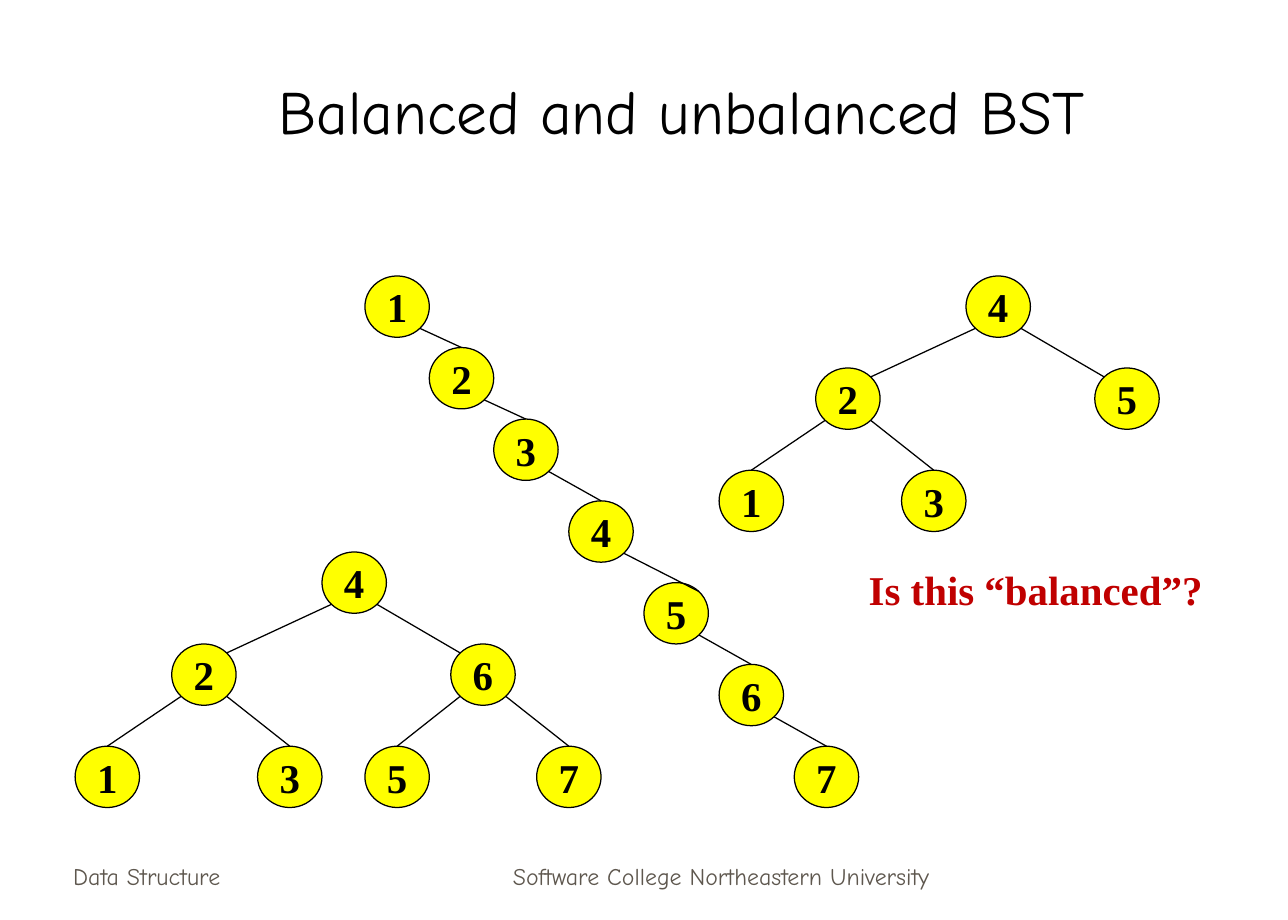
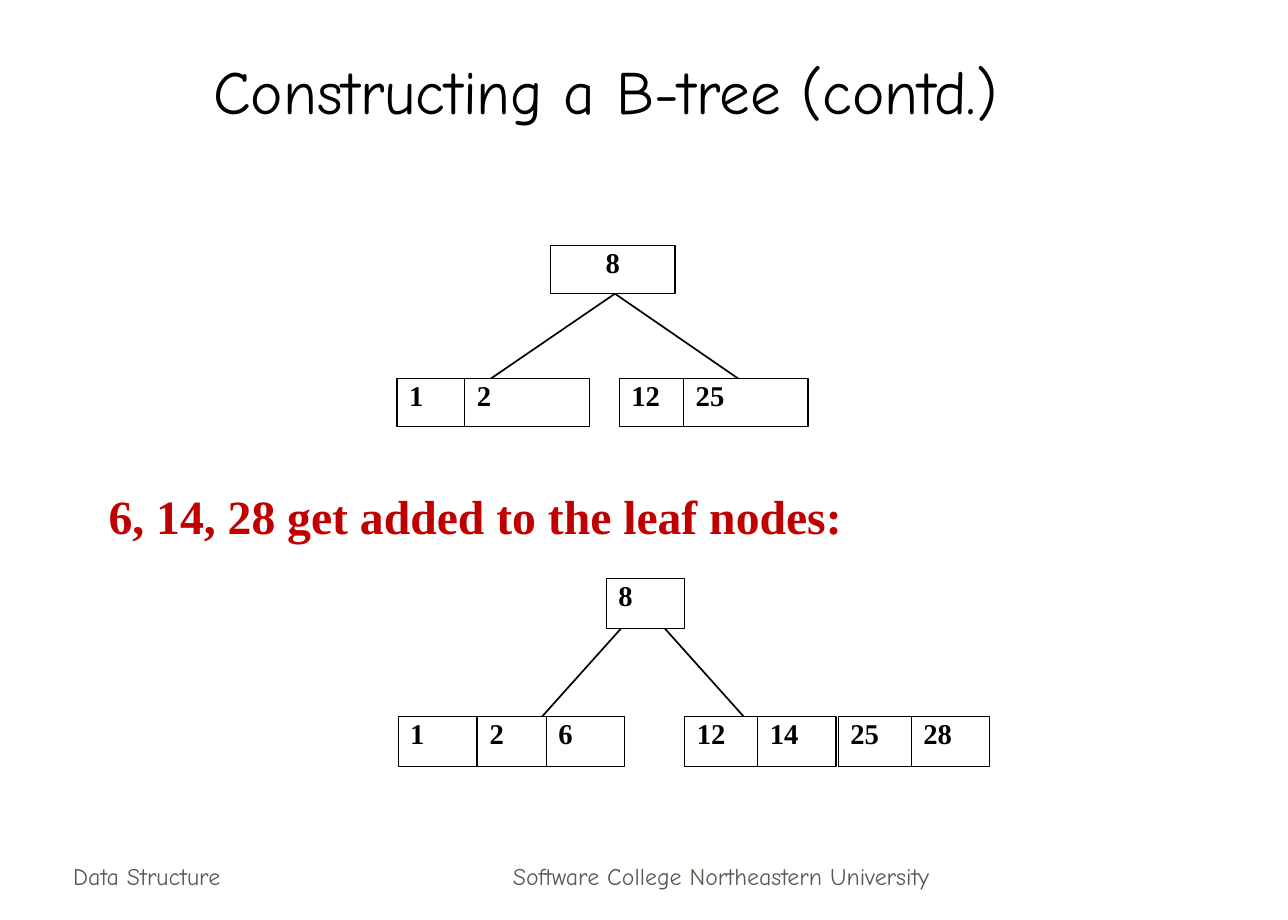
from lxml import etree
from pptx import Presentation
from pptx import util as u
from pptx.dml.color import RGBColor
from pptx.enum import shapes, text
from pptx.oxml.ns import qn

prs = Presentation()
prs.slide_width, prs.slide_height = u.Inches(10.5), u.Inches(7.5)

# Grid: every place is given in columns and rows
COL, ROW = prs.slide_width / 120, prs.slide_height / 90
BLACK, WHITE, YELLOW, RED, GREY = "000000", "FFFFFF", "FFFF00", "C00000", "5E574E"
TOP, MIDDLE, BOTTOM = (text.MSO_ANCHOR.TOP, text.MSO_ANCHOR.MIDDLE,
                       text.MSO_ANCHOR.BOTTOM)
LEFT, CENTER = text.PP_ALIGN.LEFT, text.PP_ALIGN.CENTER
OVAL, RECT = shapes.MSO_SHAPE.OVAL, shapes.MSO_SHAPE.RECTANGLE

# Text styles: font, frame and paragraph values
SERIF, HAND = "Times New Roman", "Comic Neue"
STYLES = {
    "title": (dict(name=HAND, size=u.Pt(36), bold=False), BLACK,
              dict(vertical_anchor=BOTTOM, word_wrap=True), dict(alignment=CENTER)),
    "footer": (dict(name=HAND, size=u.Pt(14)), GREY,
               dict(vertical_anchor=BOTTOM, word_wrap=True), {}),
    "node": (dict(name=SERIF, size=u.Pt(24), bold=True), BLACK,
             dict(vertical_anchor=MIDDLE, word_wrap=False), dict(alignment=CENTER)),
    "key": (dict(name=SERIF, size=u.Pt(16.8), bold=True), BLACK,
            dict(vertical_anchor=TOP, word_wrap=True),
            dict(alignment=LEFT, line_spacing=0.8)),
    "question": (dict(name=SERIF, size=u.Pt(24), bold=True), RED,
                 dict(vertical_anchor=TOP, word_wrap=False), {}),
    "step": (dict(name=SERIF, size=u.Pt(28), bold=True), RED,
             dict(vertical_anchor=TOP, word_wrap=True), {}),
}


def box(s, kind, at, txt, style, fill=None, align=None):
    """Place the title, a text box or a filled shape, and write its text."""
    if kind == "title":
        sp = s.shapes.title
    elif kind == "text":
        sp = s.shapes.add_textbox(0, 0, 0, 0)
    else:
        sp = s.shapes.add_shape(kind, 0, 0, 0, 0)
        sp.shadow.inherit = False
        sp.fill.solid()
        sp.fill.fore_color.rgb = RGBColor.from_string(fill)
        sp.line.color.rgb = RGBColor.from_string(BLACK)
        sp.line.width = u.Pt(0.75)
    for name, value, unit in zip(("left", "top", "width", "height"), at,
                                 (COL, ROW, COL, ROW)):
        setattr(sp, name, round(value * unit))
    font, color, frame, para = STYLES[style]
    tf = sp.text_frame
    tf.auto_size = text.MSO_AUTO_SIZE.NONE
    p = tf.paragraphs[0]
    r = p.add_run()
    r.text = txt
    r.font.color.rgb = RGBColor.from_string(color)
    for target, values in ((tf, frame), (p, para), (r.font, font)):
        for name, value in values.items():
            setattr(target, name, value)
    if align is not None:
        p.alignment = align


def line(s, x1, y1, x2, y2, width):
    cx = s.shapes.add_connector(
        shapes.MSO_CONNECTOR.STRAIGHT, round(x1 * COL), round(y1 * ROW),
        round(x2 * COL), round(y2 * ROW))
    cx.line.color.rgb = RGBColor.from_string(BLACK)
    cx.line.width = u.Pt(width)
    etree.SubElement(cx._element.spPr, qn("a:effectLst"))


# Titles and footers
slides = []
for title, at in (("Balanced and unbalanced BST", (10.5, 0, 106, 15)),
                  ("Constructing a B-tree (contd.)", (5.4, 3, 102, 10))):
    s = prs.slides.add_slide(prs.slide_layouts.get_by_name("Title Only"))
    box(s, "title", at, title, "title")
    box(s, "text", (5.7, 81.7, 25, 6), "Data Structure", "footer", align=LEFT)
    box(s, "text", (41, 81.7, 52.4, 6), "Software College Northeastern University",
        "footer", align=CENTER)
    slides.append(s)
bst, btree = slides

# Binary search trees: key -> (centre column, centre row)
full = {4: (33, 57), 2: (19, 66), 6: (45, 66),
        1: (10, 76), 3: (27, 76), 5: (37, 76), 7: (53, 76)}
small = {key: (full[spot][0] + 60, full[spot][1] - 27)
         for key, spot in ((4, 4), (2, 2), (5, 6), (1, 1), (3, 3))}
chain = {1: (37, 30), 2: (43, 37), 3: (49, 44), 4: (56, 52),
         5: (63, 60), 6: (70, 68), 7: (77, 76)}

# Edges: parent, child, and the side of the child's top that is met (0 = middle)
trees = (
    (small, [(4, 2, 1), (4, 5, -1), (2, 1, 0), (2, 3, 0)]),
    (chain, [(k, k + 1, 1 if k == 4 else 0) for k in range(1, 7)]),
    (full, [(4, 2, 1), (4, 6, -1), (2, 1, 0), (2, 3, 0), (6, 5, 0), (6, 7, 0)]),
)
RADIUS = 3
DIAGONAL = RADIUS * 0.71
for nodes, edges in trees:
    for key, (x, y) in nodes.items():
        box(bst, OVAL, (x - RADIUS, y - RADIUS, 2 * RADIUS, 2 * RADIUS),
            str(key), "node", YELLOW)
    for parent, child, side in edges:
        (px, py), (x, y) = nodes[parent], nodes[child]
        start = DIAGONAL if x > px else -DIAGONAL
        line(bst, px + start, py + DIAGONAL, x + side * DIAGONAL,
             y - (DIAGONAL if side else RADIUS), 0.75)
box(bst, "text", (79.8, 54.6, 33.4, 6), "Is this “balanced”?", "question")

# B-trees: links (under the boxes), key size, then rows of keys with left columns
btrees = (
    ([(59.7, 27, 43, 39), (54.9, 27, 71.5, 39)], (11.6, 4.7),
     [(24, CENTER, {8: 51.3}),
      (37, LEFT, {1: 37, 2: 43.3, 12: 57.7, 25: 63.7})]),
    ([(59.3, 59.8, 48.8, 72.1), (60.5, 59.8, 71, 72.1)], (7.3, 4.9),
     [(56.6, LEFT, {8: 56.5}),
      (70.1, LEFT, {1: 37.1, 2: 44.5, 6: 50.9,
                    12: 63.8, 14: 70.6, 25: 78.1, 28: 84.9})]),
)
for links, size, levels in btrees:
    for link in links:
        line(btree, *link, 1)
    for top, align, keys in levels:
        for key, left in keys.items():
            box(btree, RECT, (left, top, *size), str(key), "key", WHITE, align)
box(btree, "text", (9, 47, 110, 6.8), "6, 14, 28 get added to the leaf nodes:", "step")

prs.save("out.pptx")
